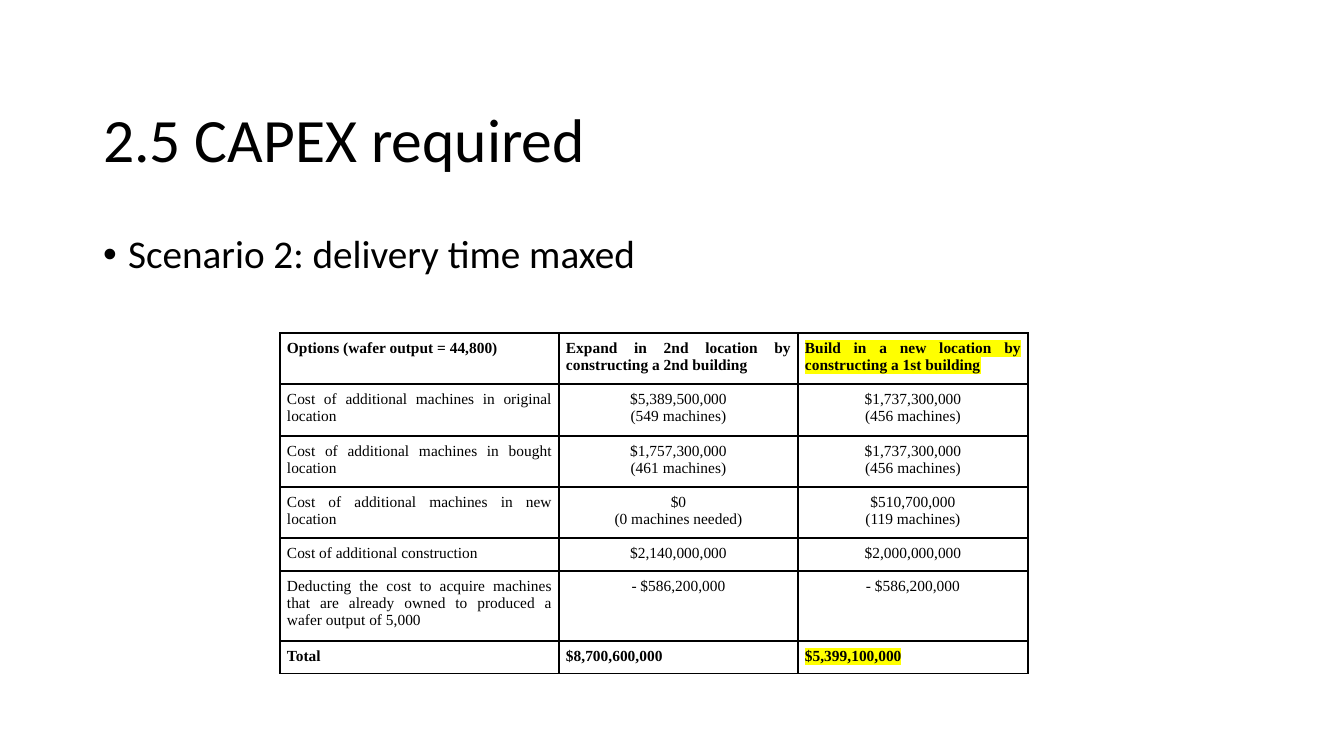
"""Build the CAPEX slide comparing the two expansion options of scenario 2."""
from lxml.etree import SubElement
from pptx import Presentation
from pptx.dml.color import RGBColor
from pptx.enum.text import MSO_ANCHOR, MSO_AUTO_SIZE, PP_ALIGN
from pptx.oxml.ns import qn
from pptx.util import Pt

PX = 914400 / 100.8


def px(length):
    return round(length * PX)


def style_run(run, font_name, size, bold=False, color="000000"):
    run.font.name = font_name
    run.font.size = Pt(size)
    run.font.bold = bold
    run.font.color.rgb = RGBColor.from_string(color)


presentation = Presentation()
presentation.slide_width, presentation.slide_height = px(1344), px(756)
slide = presentation.slides.add_slide(presentation.slide_layouts[1])

heading, scenario = slide.placeholders
for placeholder, wording, top, height, size, anchor in [
    (heading, "2.5 CAPEX required", 70, 146, 44, MSO_ANCHOR.MIDDLE),
    (scenario, "Scenario 2: delivery time maxed", 230, 480, 28, MSO_ANCHOR.TOP),
]:
    placeholder.left, placeholder.top = px(93), px(top)
    placeholder.width, placeholder.height = px(1159), px(height)
    frame = placeholder.text_frame
    frame.text = wording
    frame.auto_size = MSO_AUTO_SIZE.NONE
    frame.vertical_anchor = anchor
    paragraph = frame.paragraphs[0]
    paragraph.alignment = PP_ALIGN.LEFT
    paragraph.line_spacing = 0.9
    style_run(paragraph.runs[0], "Calibri", size)

bullet = scenario.text_frame.paragraphs[0]
bullet.space_before = Pt(10)
bullet_format = bullet._p.get_or_add_pPr()
bullet_format.set("marL", str(px(25)))
bullet_format.set("indent", str(px(-25)))
SubElement(bullet_format, qn("a:buFont"), typeface="Arial")
SubElement(bullet_format, qn("a:buChar"), char="•")

cost_rows = [
    ("Options (wafer output = 44,800)",
     "Expand in 2nd location by constructing a 2nd building",
     "Build in a new location by constructing a 1st building"),
    ("Cost of additional machines in original location",
     "$5,389,500,000\n(549 machines)", "$1,737,300,000\n(456 machines)"),
    ("Cost of additional machines in bought location",
     "$1,757,300,000\n(461 machines)", "$1,737,300,000\n(456 machines)"),
    ("Cost of additional machines in new location",
     "$0\n(0 machines needed)", "$510,700,000\n(119 machines)"),
    ("Cost of additional construction", "$2,140,000,000", "$2,000,000,000"),
    ("Deducting the cost to acquire machines that are already owned "
     "to produced a wafer output of 5,000", "- $586,200,000", "- $586,200,000"),
    ("Total", "$8,700,600,000", "$5,399,100,000"),
]
column_widths = [279, 239, 230]
row_heights = [51, 52, 51, 51, 33, 70, 33]
costs = slide.shapes.add_table(
    len(cost_rows), len(column_widths), px(280), px(333),
    px(sum(column_widths)), px(sum(row_heights))).table
for column, width in zip(costs.columns, column_widths):
    column.width = px(width)
for row, height in zip(costs.rows, row_heights):
    row.height = px(height)

for row_index, entries in enumerate(cost_rows):
    emphasized = row_index in (0, len(cost_rows) - 1)
    for column_index, entry in enumerate(entries):
        cell = costs.cell(row_index, column_index)
        cell.text_frame.text = entry
        cell.margin_left = cell.margin_right = px(7)
        cell.margin_top = cell.margin_bottom = px(7)
        cell_format = cell._tc.get_or_add_tcPr()
        for side in ("lnL", "lnR", "lnT", "lnB"):
            border = SubElement(cell_format, qn(f"a:{side}"), w=str(Pt(1)))
            border_fill = SubElement(border, qn("a:solidFill"))
            SubElement(border_fill, qn("a:srgbClr"), val="000000")
        cell.fill.solid()
        cell.fill.fore_color.rgb = RGBColor.from_string("FFFFFF")
        justified = emphasized or column_index == 0
        for paragraph in cell.text_frame.paragraphs:
            paragraph.alignment = PP_ALIGN.JUSTIFY if justified else PP_ALIGN.CENTER
            run = paragraph.runs[0]
            style_run(run, "Times New Roman", 11, emphasized)
            if emphasized and column_index == 2:
                run_format = run._r.get_or_add_rPr()
                highlight = SubElement(run_format, qn("a:highlight"))
                SubElement(highlight, qn("a:srgbClr"), val="FFFF00")
                run_format.find(qn("a:solidFill")).addnext(highlight)

presentation.save("out.pptx")
